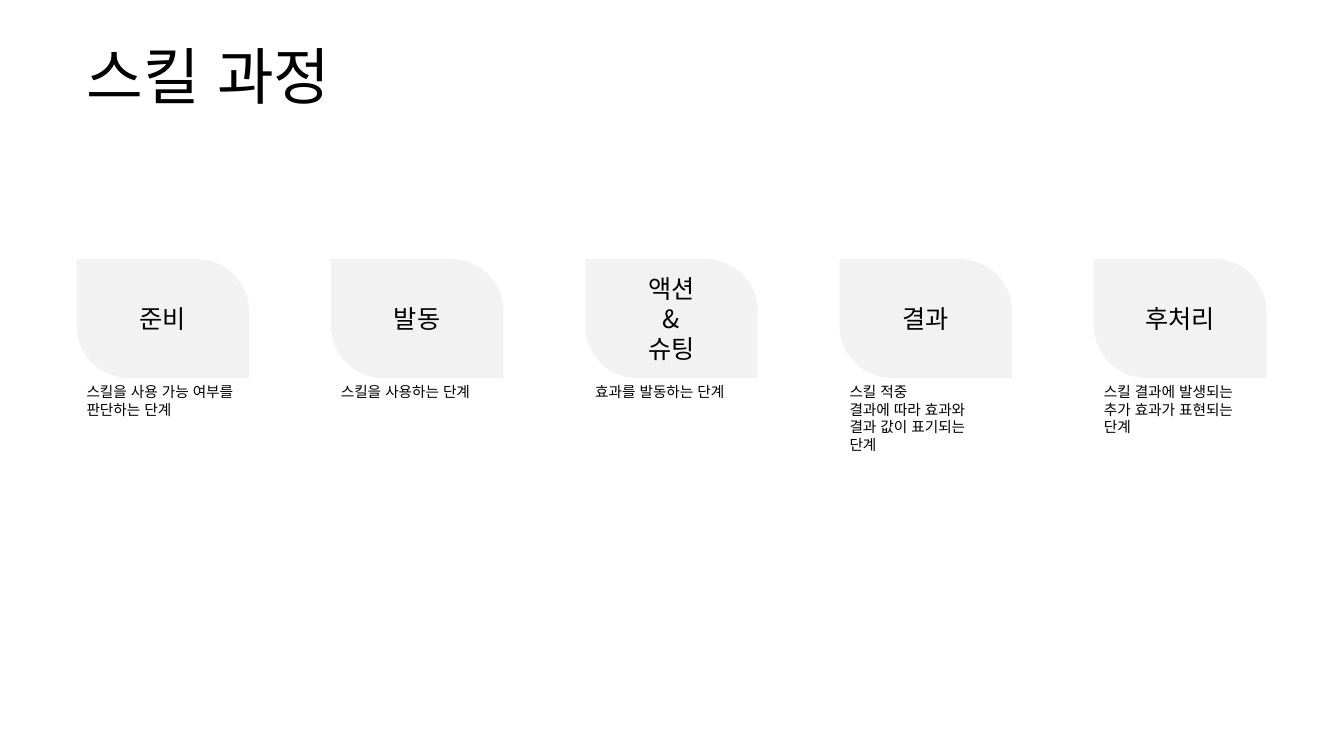
import pptx
import pptx.dml.color
import pptx.enum.lang
import pptx.enum.shapes
import pptx.enum.text
import pptx.oxml
import pptx.oxml.ns
import pptx.util

ANCHOR = pptx.enum.text.MSO_ANCHOR
ALIGN = pptx.enum.text.PP_ALIGN


def colour(hex_string):
    return pptx.dml.color.RGBColor.from_string(hex_string)


class StageSlide:
    font_name = "Noto Sans CJK KR"
    ink = "000000"
    card_fill = "F2F2F2"
    left = 0.76
    pitch = (10.85 - 0.76) / 4
    card_width = 1.71
    card_top = 2.57
    card_height = 1.18

    def __init__(self, deck):
        self.slide = deck.slides.add_slide(deck.slide_layouts[6])

    def column(self, index):
        return self.left + index * self.pitch

    def box(self, *lengths):
        return [pptx.util.Inches(length) for length in lengths]

    def add_lines(self, frame, lines, size, anchor, align, spacing=None):
        frame.word_wrap = True
        frame.vertical_anchor = anchor
        for number, line in enumerate(lines):
            paragraph = frame.add_paragraph() if number else frame.paragraphs[0]
            paragraph.alignment = align
            paragraph.line_spacing = spacing
            run = paragraph.add_run()
            run.text = line
            run.font.size = pptx.util.Pt(size)
            run.font.color.rgb = colour(self.ink)
            run.font.name = self.font_name
            run.font.language_id = pptx.enum.lang.MSO_LANGUAGE_ID.KOREAN
            east_asian = pptx.oxml.parse_xml(
                f'<a:ea {pptx.oxml.ns.nsdecls("a")} typeface="{self.font_name}"/>')
            run._r.get_or_add_rPr().append(east_asian)

    def title(self, heading):
        area = self.slide.shapes.add_textbox(*self.box(self.left, 0.32, 11.81, 0.94))
        self.add_lines(area.text_frame, [heading], 44, ANCHOR.MIDDLE, ALIGN.LEFT, 0.9)

    def card(self, index, name_lines):
        card = self.slide.shapes.add_shape(
            pptx.enum.shapes.MSO_SHAPE.ROUND_2_DIAG_RECTANGLE,
            *self.box(self.column(index), self.card_top, self.card_width, self.card_height))
        card.adjustments[0] = 0
        card.adjustments[1] = 0.44
        card.shadow.inherit = False
        card.fill.solid()
        card.fill.fore_color.rgb = colour(self.card_fill)
        card.line.fill.background()
        self.add_lines(card.text_frame, name_lines, 18, ANCHOR.MIDDLE, ALIGN.CENTER)

    def description(self, index, lines, rows, width):
        area = self.slide.shapes.add_textbox(*self.box(
            self.column(index), self.card_top + self.card_height, width, 0.12 + 0.17 * rows))
        self.add_lines(area.text_frame, lines, 10.5, ANCHOR.TOP, ALIGN.LEFT)
        area.text_frame.auto_size = pptx.enum.text.MSO_AUTO_SIZE.SHAPE_TO_FIT_TEXT


STAGES = [
    (["준비"], ["스킬을 사용 가능 여부를 판단하는 단계"], 2, 1.88),
    (["발동"], ["스킬을 사용하는 단계"], 1, 1.71),
    (["액션", "&", "슈팅"], ["효과를 발동하는 단계"], 1, 1.71),
    (["결과"], ["스킬 적중", "결과에 따라 효과와", "결과 값이 표기되는", "단계"], 4, 1.71),
    (["후처리"], ["스킬 결과에 발생되는 추가 효과가 표현되는 단계"], 3, 1.71),
]


def main():
    deck = pptx.Presentation()
    deck.slide_width = pptx.util.Inches(13.33)
    deck.slide_height = pptx.util.Inches(7.5)
    skill_process = StageSlide(deck)
    skill_process.title("스킬 과정")
    for index, (name_lines, lines, rows, width) in enumerate(STAGES):
        skill_process.card(index, name_lines)
        skill_process.description(index, lines, rows, width)
    deck.save("out.pptx")


if __name__ == "__main__":
    main()
